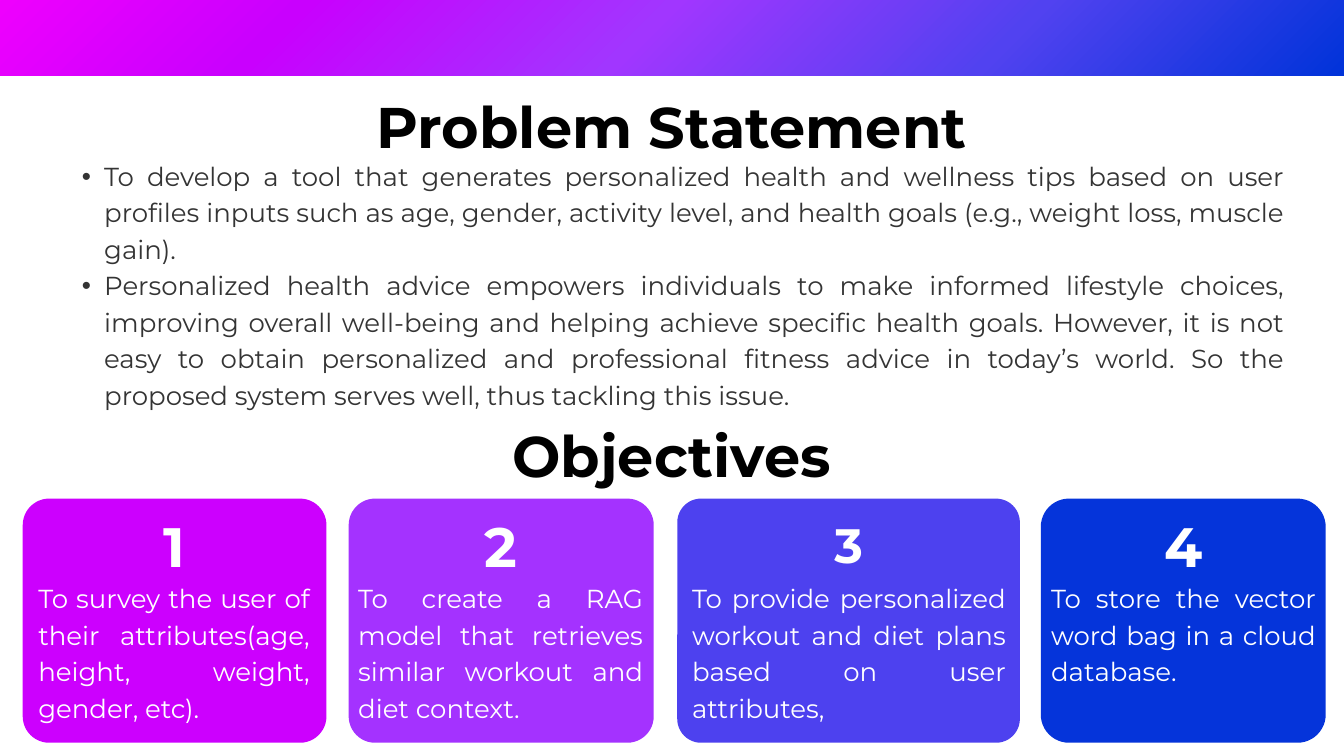
import copy

import pptx
import pptx.dml.color
import pptx.enum.shapes
import pptx.enum.text
import pptx.oxml
import pptx.oxml.ns
import pptx.util
from pptx.util import Cm

THEME = {
    "font": "Montserrat",
    "black": "000000", "body": "343434", "white": "FFFFFF",
    "band": ["F600FE", "C900FE", "A136FF", "5142F0", "0033D9"],
    "cards": ["CC00FE", "A432FF", "4D41EF", "0534DA"],
    "title_pt": 61.4, "text_pt": 27.9,
    "leading": 1.4,
}
ALIGN = pptx.enum.text.PP_ALIGN
SHAPE = pptx.enum.shapes.MSO_SHAPE


def rgb(value):
    return pptx.dml.color.RGBColor.from_string(value)


def add_text(s, box, paragraphs, size, color, align, bold=False, bullet=None):
    sp = s.shapes.add_textbox(*(Cm(v) for v in box))
    tf = sp.text_frame
    tf.word_wrap = True
    tf.margin_left = tf.margin_right = tf.margin_top = tf.margin_bottom = 0
    tf.text = "\n".join(paragraphs)
    for p in tf.paragraphs:
        p.alignment = align
        p.line_spacing = pptx.util.Pt(round(size * THEME["leading"], 1))
        if bullet:
            p.level = 1
            pPr = p._p.get_or_add_pPr()
            pPr.set("marL", str(Cm(1.68)))
            pPr.set("indent", str(Cm(-0.84)))
            ns = pptx.oxml.ns.nsdecls("a")
            pPr.append(pptx.oxml.parse_xml(f'<a:buFont {ns} typeface="Arial"/>'))
            pPr.append(pptx.oxml.parse_xml(f'<a:buChar {ns} char="{bullet}"/>'))
        for r in p.runs:
            r.font.name = THEME["font"]
            r.font.size = pptx.util.Pt(size)
            r.font.bold = bold
            r.font.color.rgb = rgb(color)


prs = pptx.Presentation()
prs.slide_width, prs.slide_height = Cm(50.8), Cm(28.58)
s = prs.slides.add_slide(prs.slide_layouts[6])

# Gradient band along the top edge
sp = s.shapes.add_shape(SHAPE.RECTANGLE, 0, Cm(-2.34), Cm(50.8), Cm(5.2))
sp.shadow.inherit = False
sp.line.fill.background()
sp.fill.gradient()
sp.fill.gradient_angle = 315
stops = sp._element.spPr.find(".//" + pptx.oxml.ns.qn("a:gsLst"))
for _ in range(len(THEME["band"]) - len(stops)):
    stops.append(copy.deepcopy(stops[0]))
for i, stop in enumerate(sp.fill.gradient_stops):
    stop.position = i / (len(THEME["band"]) - 1)
    stop.color.rgb = rgb(THEME["band"][i])

# Section titles
for title, top in [("Problem Statement", 3.02), ("Objectives", 15.44)]:
    add_text(s, (10.97, top, 28.83, 2.9), [title], THEME["title_pt"],
             THEME["black"], ALIGN.CENTER, bold=True)

# Problem statement
problem = [
    "To develop a tool that generates personalized health and wellness tips "
    "based on user profiles inputs such as age, gender, activity level, and "
    "health goals (e.g., weight loss, muscle gain).",
    "Personalized health advice empowers individuals to make informed lifestyle "
    "choices, improving overall well-being and helping achieve specific health "
    "goals. However, it is not easy to obtain personalized and professional "
    "fitness advice in today’s world. So the proposed system serves well, thus "
    "tackling this issue.",
]
add_text(s, (2.26, 5.87, 46.28, 9.6), problem, THEME["text_pt"],
         THEME["body"], ALIGN.JUSTIFY, bullet="•")

# Objective cards: left, width, corner radius, text left, text width,
# number size, number top, text
cards = [
    (0.86, 11.48, 1.0, 1.45, 10.26, 59.4, 18.92,
     "To survey the user of their attributes(age, height, weight, gender, etc)."),
    (13.18, 11.53, 1.0, 13.54, 10.77, 59.4, 18.92,
     "To create a RAG model that retrieves similar workout and diet context."),
    (25.6, 12.95, 0.9, 26.16, 11.86, 51.7, 19.13,
     "To provide personalized workout and diet plans based on user attributes,"),
    (39.34, 10.77, 1.07, 39.73, 10.01, 59.4, 18.92,
     "To store the vector word bag in a cloud database."),
]
card_top, card_height, number_width = 18.85, 9.23, 1.4
for i, (left, width, radius, text_left, text_width, size, top, text) in enumerate(cards):
    sp = s.shapes.add_shape(SHAPE.ROUNDED_RECTANGLE, Cm(left), Cm(card_top),
                            Cm(width), Cm(card_height))
    sp.adjustments[0] = radius / card_height
    sp.shadow.inherit = False
    sp.fill.solid()
    sp.fill.fore_color.rgb = rgb(THEME["cards"][i])
    sp.line.fill.background()
    add_text(s, (left + (width - number_width) / 2, top, number_width, 2.74),
             [str(i + 1)], size, THEME["white"], ALIGN.CENTER, bold=True)
    add_text(s, (text_left, 21.84, text_width, 5.46), [text], THEME["text_pt"],
             THEME["white"], ALIGN.JUSTIFY)

prs.save("out.pptx")
